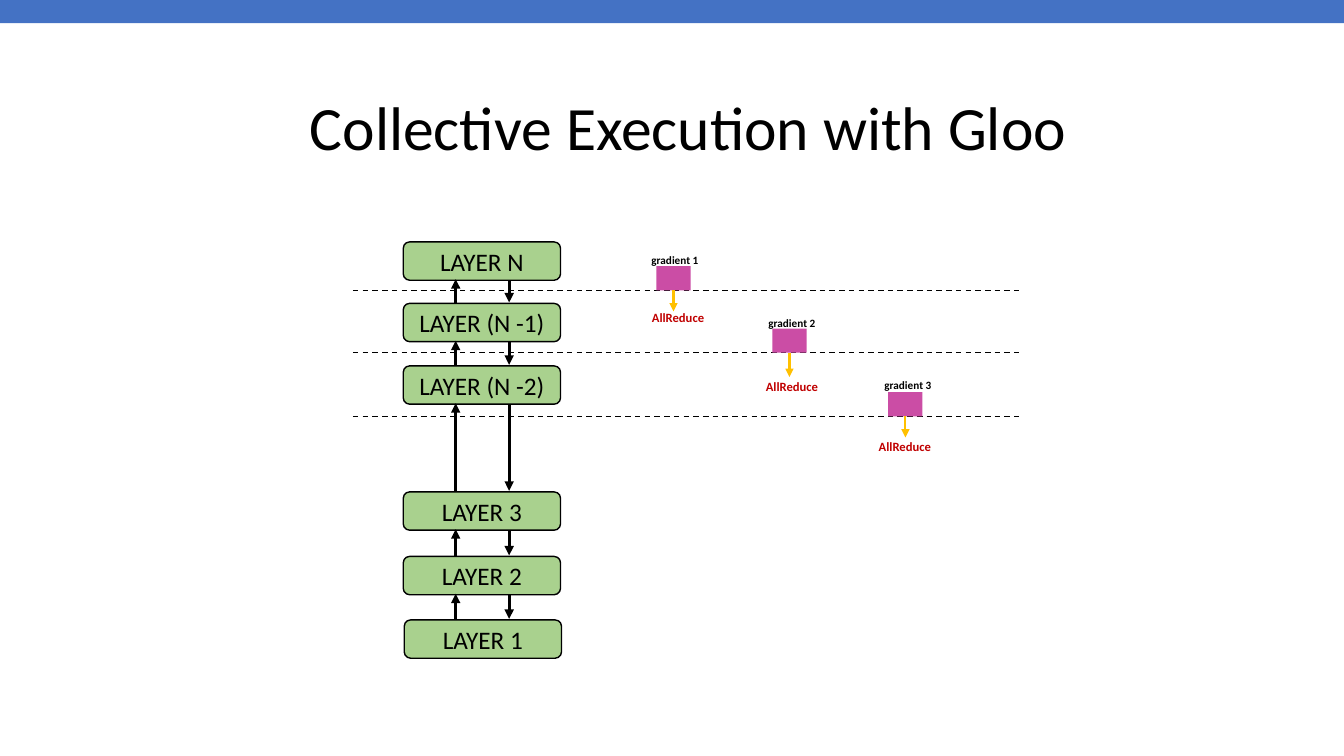
"""Build the slide on collective execution across network layers."""
from itertools import pairwise

from pptx import Presentation
from pptx.dml.color import RGBColor
from pptx.enum.dml import MSO_LINE
from pptx.enum.shapes import MSO_CONNECTOR, MSO_SHAPE
from pptx.enum.text import MSO_ANCHOR, MSO_AUTO_SIZE, PP_ALIGN
from pptx.oxml.ns import qn
from pptx.util import Pt
from lxml.etree import SubElement

PX = 9144
COLORS = {
    "bar": "4472C4", "layer": "A9D18E", "gradient": "CB4DA5",
    "black": "000000", "arrow": "FFC000", "reduce": "C00000",
}
RGB = {name: RGBColor.from_string(value) for name, value in COLORS.items()}


def write(shape, text, size, color="black", bold=False, spacing=1.0, frame=None):
    tf = shape.text_frame
    frame_format = {"vertical_anchor": MSO_ANCHOR.MIDDLE, "word_wrap": True} | (frame or {})
    for key, value in frame_format.items():
        setattr(tf, key, value)
    p = tf.paragraphs[0]
    p.alignment, p.line_spacing = PP_ALIGN.CENTER, spacing
    r = p.add_run()
    r.text = text
    for key, value in {"name": "Calibri", "size": Pt(size), "bold": bold}.items():
        setattr(r.font, key, value)
    r.font.color.rgb = RGB[color]


def add_line(x1, y1, x2, y2, color, width, arrow=True):
    line = s.shapes.add_connector(MSO_CONNECTOR.STRAIGHT, x1 * PX, y1 * PX, x2 * PX, y2 * PX)
    line.line.color.rgb = RGB[color]
    line.line.width = Pt(width)
    if arrow:
        SubElement(line.line._get_or_add_ln(), qn("a:tailEnd"), type="triangle")
    else:
        line.line.dash_style = MSO_LINE.DASH
    SubElement(line._element.spPr, qn("a:effectLst"))
    return line


prs = Presentation()
prs.slide_width, prs.slide_height = 1333 * PX, 750 * PX
s = prs.slides.add_slide(prs.slide_layouts[5])

title = s.shapes.title
for key, value in {"left": 108, "top": 57, "width": 1150, "height": 145}.items():
    setattr(title, key, value * PX)
write(title, "Collective Execution with Gloo", 44, spacing=0.9,
      frame={"auto_size": MSO_AUTO_SIZE.NONE})

bar = s.shapes.add_shape(MSO_SHAPE.RECTANGLE, 0, 0, prs.slide_width, 23 * PX)
bar.shadow.inherit = False
bar.fill.solid()
bar.fill.fore_color.rgb = RGB["bar"]
bar.line.fill.background()

LAYER_W, LAYER_H = 156, 38
layers = [
    ("LAYER N", 400, 240), ("LAYER (N -1)", 400, 301), ("LAYER (N -2)", 400, 363),
    ("LAYER 3", 400, 488), ("LAYER 2", 400, 552), ("LAYER 1", 401, 615),
]
for name, x, y in layers:
    layer = s.shapes.add_shape(MSO_SHAPE.ROUNDED_RECTANGLE,
                               x * PX, y * PX, LAYER_W * PX, LAYER_H * PX)
    layer.shadow.inherit = False
    layer.fill.solid()
    layer.fill.fore_color.rgb = RGB["layer"]
    layer.line.color.rgb = RGB["black"]
    layer.line.width = Pt(1)
    write(layer, name, 18)

for (_, _, upper), (_, _, lower) in pairwise(layers):
    add_line(452, lower, 452, upper + LAYER_H - 1, "black", 2.25)
    add_line(505, upper + LAYER_H, 505, lower - 1, "black", 2.25)

GRAD_W, GRAD_H = 34, 24
LABEL = {
    "margin_left": 0, "margin_right": 0, "margin_top": 0, "margin_bottom": 0,
    "word_wrap": False, "auto_size": MSO_AUTO_SIZE.SHAPE_TO_FIT_TEXT,
}
steps = [
    (288, 651, (646, 250), 309, (646, 306)),
    (350, 766, (762, 313), 374, (759, 375)),
    (413, 881, (877, 374), 434, (871, 434)),
]
for number, (y, x, label_at, arrow_end, reduce_at) in enumerate(steps, 1):
    add_line(350, y, 1011, y, "black", 1, arrow=False)
    gradient = s.shapes.add_shape(MSO_SHAPE.RECTANGLE, x * PX, (y - GRAD_H) * PX,
                                  GRAD_W * PX, GRAD_H * PX)
    gradient.shadow.inherit = False
    gradient.fill.solid()
    gradient.fill.fore_color.rgb = RGB["gradient"]
    gradient.line.fill.background()
    center = x + GRAD_W // 2
    arrow = add_line(center, y, center, arrow_end, "arrow", 1.5)
    arrow.begin_connect(gradient, 2)
    for text, (left, top), w, h, size, color in (
        (f"gradient {number}", label_at, 47, 14, 8, "black"),
        ("AllReduce", reduce_at, 53, 16, 9, "reduce"),
    ):
        label = s.shapes.add_textbox(left * PX, top * PX, w * PX, h * PX)
        write(label, text, size, color, True, 1.1, LABEL)

prs.save("out.pptx")
